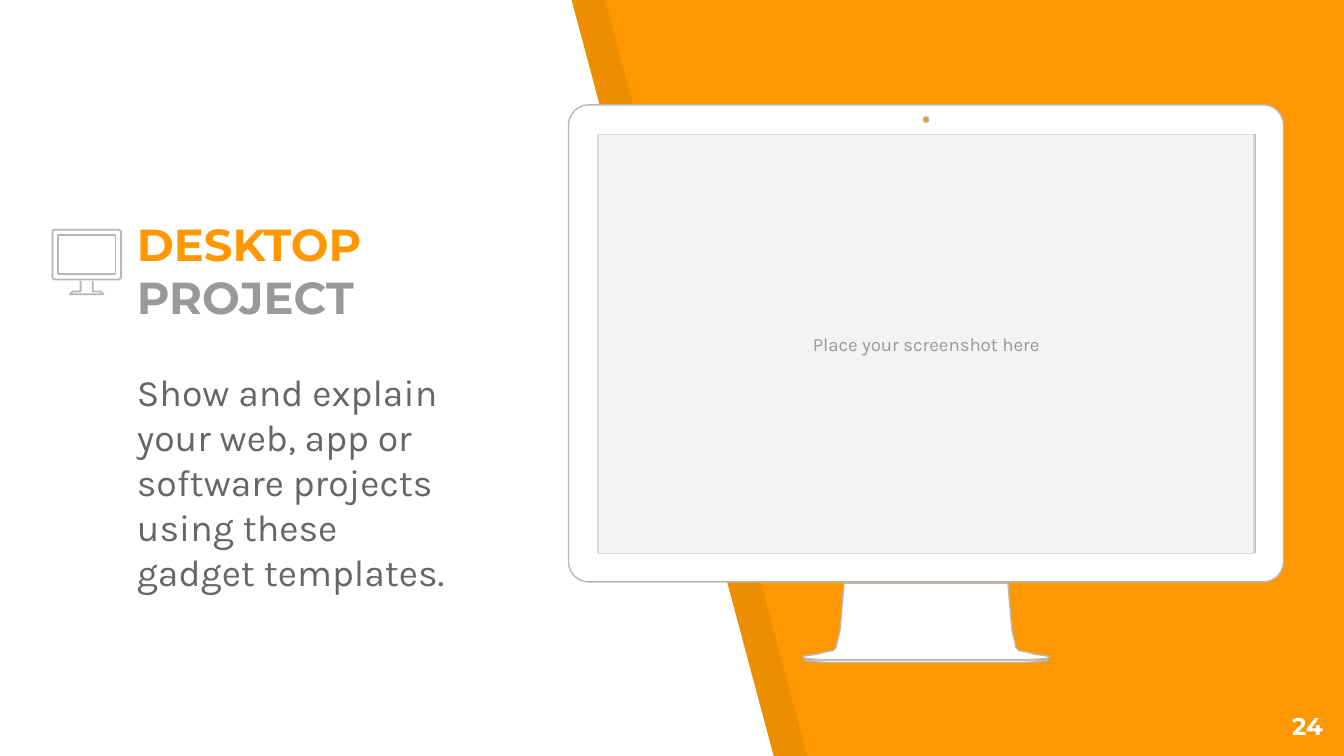
from math import cos, radians, sin

from lxml.etree import SubElement
from pptx import Presentation
from pptx.dml.color import RGBColor
from pptx.enum.shapes import MSO_SHAPE
from pptx.enum.text import MSO_ANCHOR, PP_ALIGN
from pptx.oxml.ns import qn
from pptx.util import Inches, Pt

COLORS = {
    "accent": "FF9800",
    "white": "FFFFFF",
    "shade": "000000",
    "screen": "F3F3F3",
    "screen_edge": "D9D9D9",
    "outline": "B7B7B7",
    "muted": "999999",
    "body": "666666",
}


def write(frame, *pieces, size, font="Karla", bold=False, align=PP_ALIGN.LEFT,
          anchor=MSO_ANCHOR.TOP, before=0):
    frame.word_wrap = True
    frame.vertical_anchor = anchor
    frame.margin_left = frame.margin_right = Inches(0.1)
    frame.margin_top = frame.margin_bottom = Inches(0.1)
    paragraph = frame.paragraphs[0]
    paragraph.alignment = align
    paragraph.space_before = Pt(before)
    for wording, color in pieces:
        run = paragraph.add_run()
        run.text = wording
        run.font.name = font
        run.font.size = Pt(size)
        run.font.bold = bold
        run.font.color.rgb = RGBColor.from_string(COLORS[color])


def mirrored(half, axis):
    return half + [(2 * axis - x, y) for x, y in reversed(half)]


def box(left, top, right, bottom):
    return [(left, top), (right, top), (right, bottom), (left, bottom)]


def rounded(left, top, right, bottom, radius, step=15):
    corners = [(right - radius, bottom - radius), (left + radius, bottom - radius),
               (left + radius, top + radius), (right - radius, top + radius)]
    return [(x + radius * cos(radians(90 * turn + angle)),
             y + radius * sin(radians(90 * turn + angle)))
            for turn, (x, y) in enumerate(corners) for angle in range(0, 91, step)]


class Deck:
    """Holds the style and the current slide."""

    def __init__(self, width, height):
        self.presentation = Presentation()
        self.presentation.slide_width = Inches(width)
        self.presentation.slide_height = Inches(height)
        self.slide = self.presentation.slides.add_slide(self.presentation.slide_layouts[6])
        self.paint(self.slide.background.fill, "accent")

    def paint(self, fill, color):
        if color is None:
            fill.background()
            return
        fill.solid()
        fill.fore_color.rgb = RGBColor.from_string(COLORS[color])

    def style(self, shape, fill, line, weight, alpha=None):
        shape.shadow.inherit = False
        self.paint(shape.fill, fill)
        self.paint(shape.line.fill, line)
        if line:
            shape.line.width = Pt(weight)
        if alpha:
            tint = shape._element.spPr.find(qn("a:solidFill"))[0]
            SubElement(tint, qn("a:alpha"), val=str(alpha * 1000))

    def outline(self, *contours, fill=None, line=None, weight=0.75, alpha=None, close=True):
        scaled = [[(Inches(x), Inches(y)) for x, y in contour] for contour in contours]
        builder = self.slide.shapes.build_freeform(*scaled[0][0])
        for index, points in enumerate(scaled):
            if index:
                builder.move_to(*points[0])
            builder.add_line_segments(points[1:], close=close)
        self.style(builder.convert_to_shape(), fill, line, weight, alpha)

    def panel(self, left, top, width, height, fill, line, weight=0.75):
        shape = self.slide.shapes.add_shape(
            MSO_SHAPE.RECTANGLE, Inches(left), Inches(top), Inches(width), Inches(height))
        self.style(shape, fill, line, weight)
        return shape.text_frame

    def text(self, left, top, width, height, *pieces, **layout):
        area = self.slide.shapes.add_textbox(
            Inches(left), Inches(top), Inches(width), Inches(height))
        write(area.text_frame, *pieces, **layout)


def draw_monitor(deck):
    axis = 6.89
    neck = [(6.28, 4.34), (6.27, 4.46), (6.26, 4.58), (6.25, 4.69), (6.23, 4.77),
            (6.22, 4.82), (6.2, 4.84), (6.15, 4.85), (6.07, 4.87), (5.99, 4.88),
            (5.97, 4.89), (5.99, 4.9), (6.13, 4.91), (6.31, 4.91)]
    foot = [(6.54, 4.91), (5.99, 4.91), (5.99, 4.92), (6.18, 4.93), (6.54, 4.93)]
    deck.outline(
        rounded(axis - 0.02, 0.87, axis + 0.02, 0.91, 0.02),
        box(4.45, 1, 9.34, 4.11),
        rounded(4.23, 0.78, 9.55, 4.33, 0.15),
        mirrored(neck, axis),
        mirrored(foot, axis),
        fill="white", line="outline")
    screen = deck.panel(4.45, 1, 4.88, 3.12, "screen", "screen_edge")
    write(screen, ("Place your screenshot here", "muted"), size=10,
          align=PP_ALIGN.CENTER, anchor=MSO_ANCHOR.MIDDLE)


def draw_icon(deck):
    stand = [(0.6, 2.09), (0.6, 2.17), (0.54, 2.17), (0.53, 2.18), (0.52, 2.19)]
    deck.outline(mirrored(stand, 0.645), line="outline", weight=0.96, close=False)
    deck.outline(rounded(0.39, 1.71, 0.9, 2.08, 0.02), box(0.43, 1.75, 0.86, 2.04),
                 line="outline", weight=0.96)


def main():
    width = 10
    deck = Deck(width, width * 9 / 16)
    for shift, fill, alpha in ((0.25, "shade", 7), (0, "white", None)):
        slant = [(0, -0.01), (-0.01, 5.64), (5.76, 5.64), (4.25, -0.01)]
        deck.outline([(x + shift, y) for x, y in slant], fill=fill, alpha=alpha)
    draw_monitor(deck)
    deck.text(0.92, 1.98, 3.44, 0.53, ("DESKTOP", "accent"), (" PROJECT", "muted"),
              size=24, font="Montserrat", bold=True, anchor=MSO_ANCHOR.BOTTOM)
    deck.text(0.92, 2.65, 2.55, 2.47,
              ("Show and explain your web, app or software projects "
               "using these gadget templates.", "body"), size=20, before=6)
    draw_icon(deck)
    deck.text(9.34, 5.19, 0.6, 0.43, ("24", "white"), size=13, font="Montserrat",
              bold=True, align=PP_ALIGN.RIGHT)
    deck.presentation.save("out.pptx")


if __name__ == "__main__":
    main()
